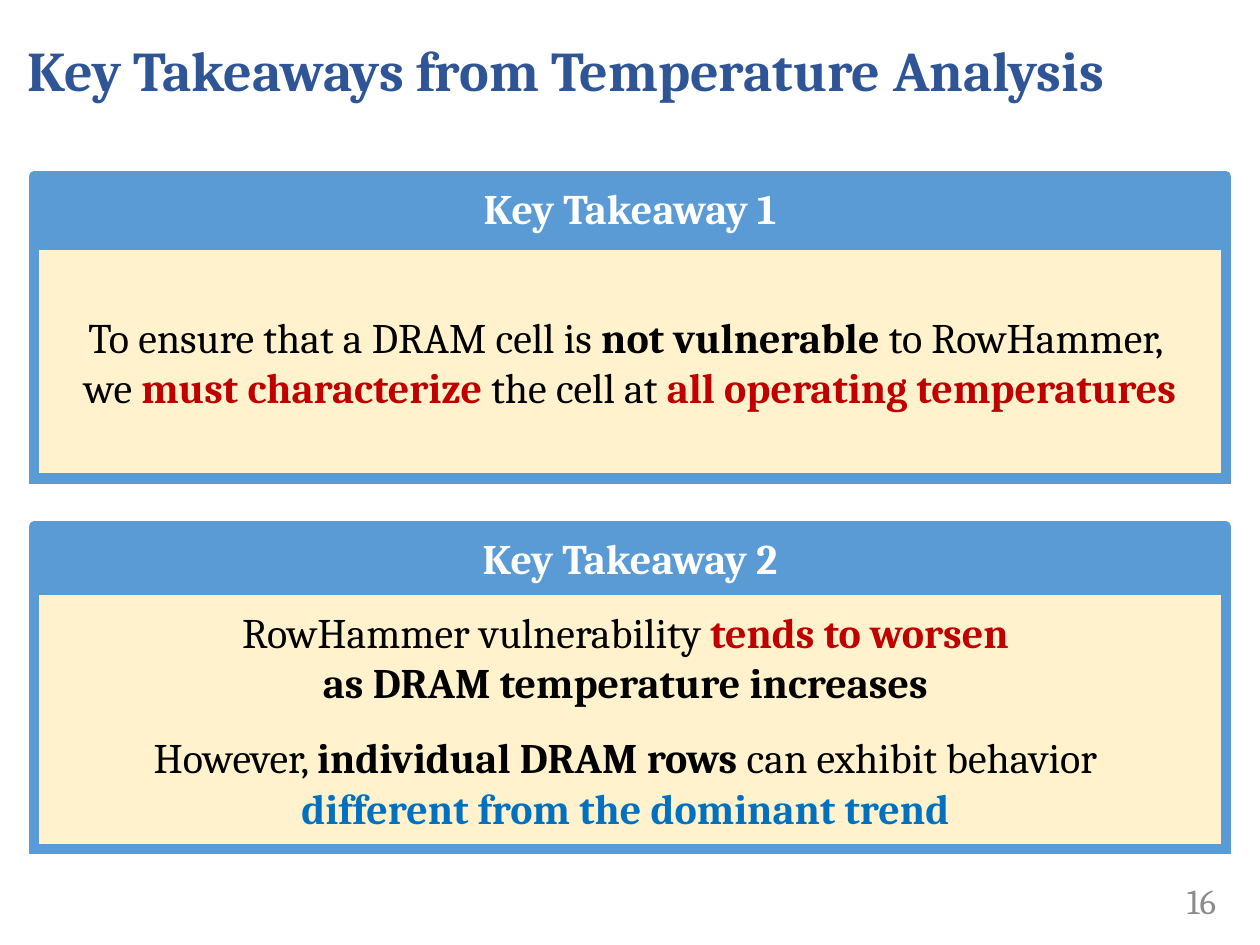
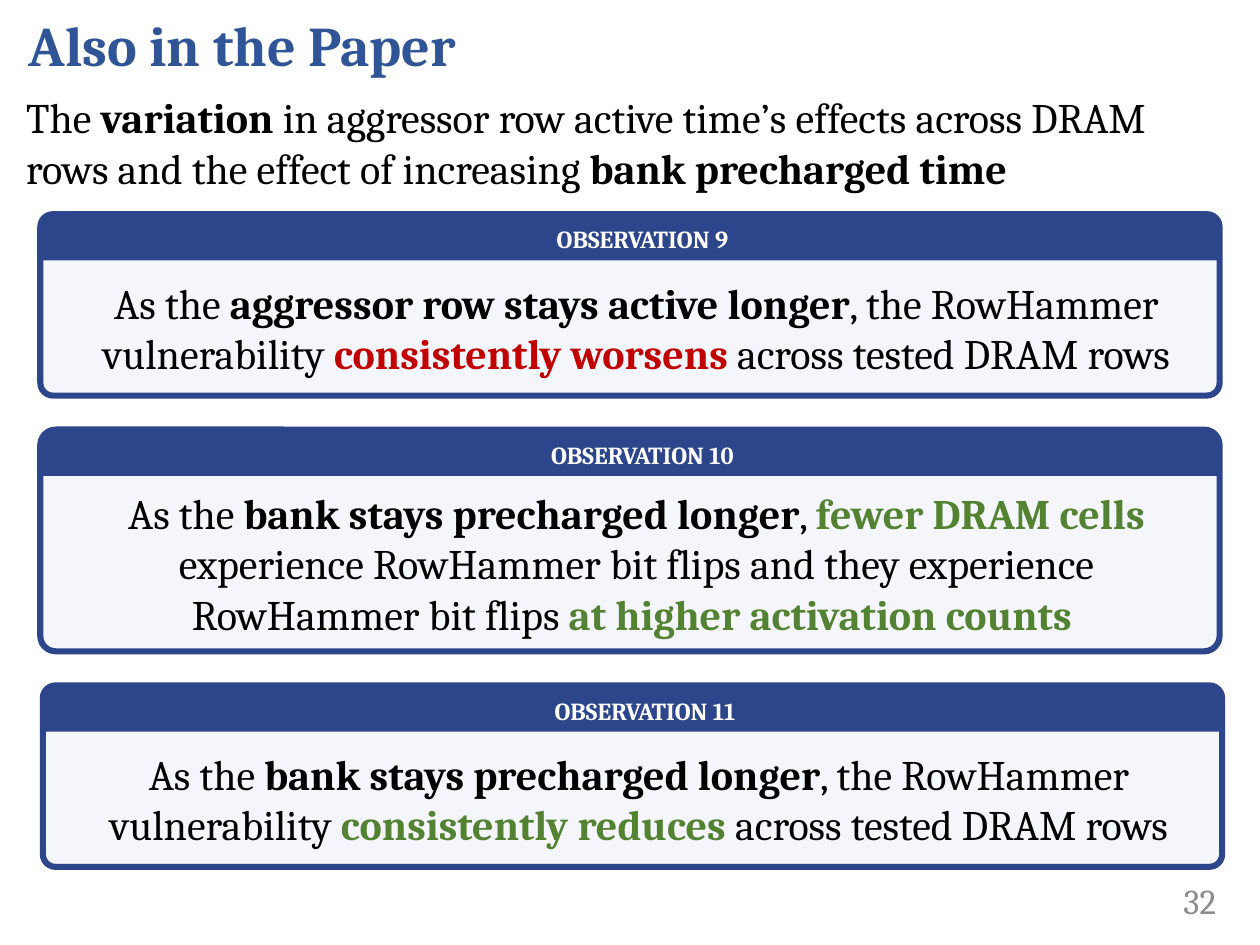
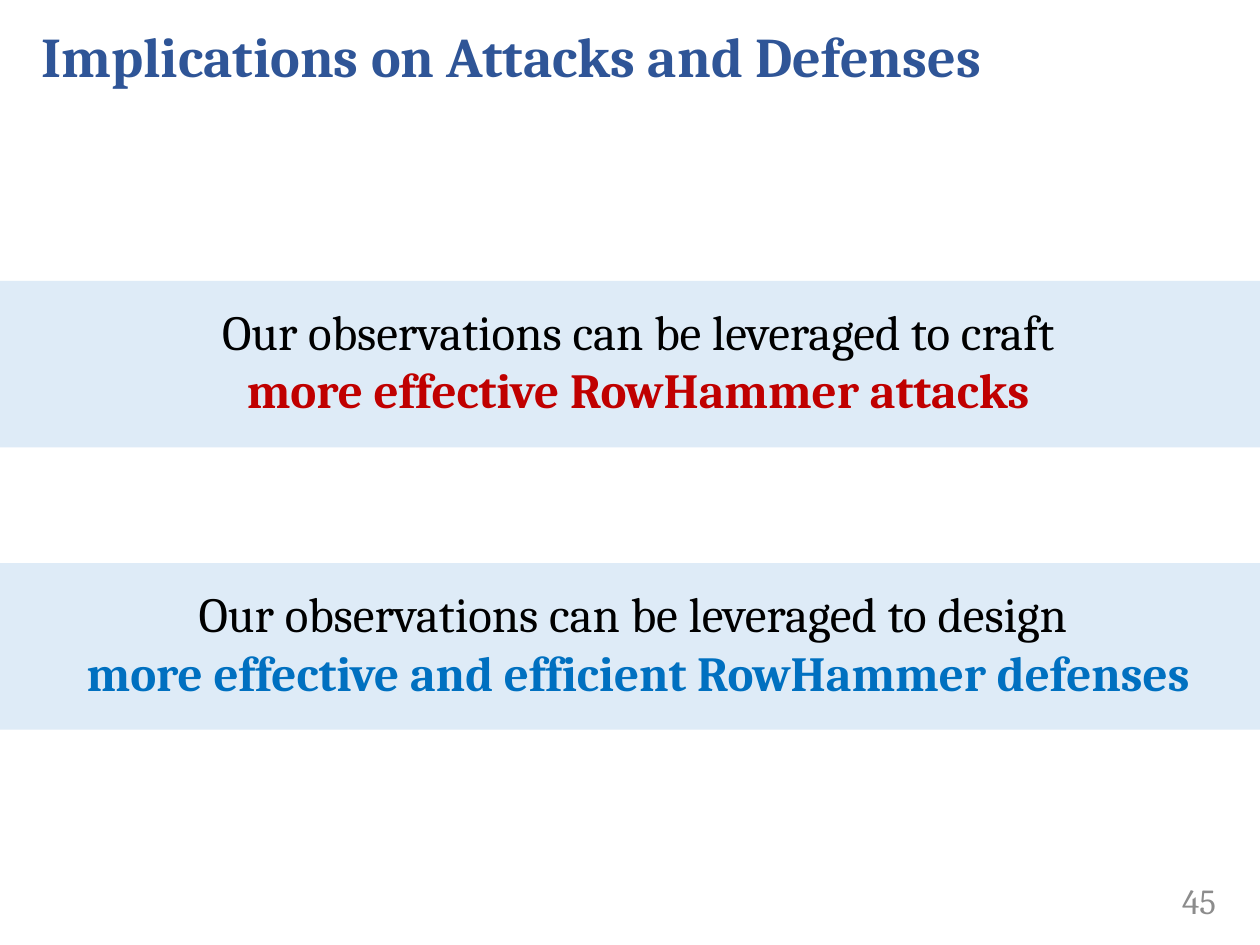
import dataclasses

import lxml.etree
import pptx
import pptx.dml.color
import pptx.enum.shapes
import pptx.enum.text
import pptx.oxml.ns
import pptx.util

Pt = pptx.util.Pt
Shapes = pptx.enum.shapes.MSO_SHAPE
Align = pptx.enum.text.PP_ALIGN
Anchor = pptx.enum.text.MSO_ANCHOR


@dataclasses.dataclass(frozen=True)
class Theme:
    font: str = "Cambria"
    black: str = "000000"
    white: str = "FFFFFF"
    red: str = "C00000"
    blue: str = "0070C0"
    green: str = "538233"
    title: str = "2F5597"
    page_number: str = "8C8C8C"
    takeaway: str = "5B9BD5"
    takeaway_body: str = "FFF2CC"
    observation: str = "2D458A"
    observation_body: str = "F5F6FB"
    band: str = "DEEBF7"
    title_size: int = 32
    statement_size: int = 28
    body_size: int = 24
    number_size: int = 20
    label_size: int = 14


@dataclasses.dataclass(frozen=True)
class Box:
    left: float
    top: float
    width: float
    height: float

    def lengths(self):
        return [Pt(length) for length in dataclasses.astuple(self)]


THEME = Theme()
SLIDE_WIDTH = 720
SLIDE_HEIGHT = 540
NUMBER_BOX = Box(624.24, 500.4, 77.76, 28.8)
DEFAULT_INSETS = (7.2, 3.6, 7.2, 3.6)


def color(value):
    return pptx.dml.color.RGBColor.from_string(value)


def bold(text, value=THEME.black):
    return text, value, True


def write_text(shape, paragraphs, size=THEME.body_size, value=THEME.black, strong=False,
               align=Align.CENTER, anchor=Anchor.MIDDLE, insets=DEFAULT_INSETS,
               space_between=0, space_after=0):
    frame = shape.text_frame
    frame.word_wrap = True
    frame.vertical_anchor = anchor
    frame.margin_left, frame.margin_top, frame.margin_right, frame.margin_bottom = map(Pt, insets)
    for index, pieces in enumerate(paragraphs):
        paragraph = frame.add_paragraph() if index else frame.paragraphs[0]
        paragraph.alignment = align
        paragraph.space_before = Pt(space_between if index else 0)
        paragraph.space_after = Pt(space_after)
        for piece in pieces:
            text, piece_color, piece_bold = (piece, value, strong) if isinstance(piece, str) else piece
            for line_index, line in enumerate(text.split("\n")):
                if line_index:
                    paragraph.add_line_break()
                if line:
                    run = paragraph.add_run()
                    run.text = line
                    run.font.name = THEME.font
                    run.font.size = Pt(size)
                    run.font.bold = piece_bold
                    run.font.color.rgb = color(piece_color)


def add_text(slide, box, paragraphs, **text_format):
    write_text(slide.shapes.add_textbox(*box.lengths()), paragraphs, **text_format)


def add_panel(slide, box, fill, kind=Shapes.RECTANGLE, line=None, line_width=0, adjustments=()):
    shape = slide.shapes.add_shape(kind, *box.lengths())
    shape.shadow.inherit = False
    shape.fill.solid()
    shape.fill.fore_color.rgb = color(fill)
    if line:
        shape.line.color.rgb = color(line)
        shape.line.width = Pt(line_width)
    else:
        shape.line.fill.background()
    for index, adjustment in enumerate(adjustments):
        shape.adjustments[index] = adjustment
    return shape


def add_page(presentation, title, title_box, number):
    slide = presentation.slides.add_slide(presentation.slide_layouts[6])
    add_text(slide, NUMBER_BOX, [[number]], size=THEME.number_size,
             value=THEME.page_number, align=Align.RIGHT)
    add_text(slide, title_box, [[title]], size=THEME.title_size, value=THEME.title,
             strong=True, align=Align.LEFT, space_after=6)
    return slide


def add_takeaway(slide, box, heading, body_height, paragraphs):
    header_height = 36
    border = {"line": THEME.takeaway, "line_width": 6}
    body_box = Box(box.left, box.top + box.height - body_height, box.width, body_height)
    body = add_panel(slide, body_box, THEME.takeaway_body,
                     kind=Shapes.ROUNDED_RECTANGLE, adjustments=[0], **border)
    outline = body.line.fill._xPr
    lxml.etree.SubElement(outline, pptx.oxml.ns.qn("a:miter"), lim="800000")
    write_text(body, paragraphs, space_between=14)
    header = add_panel(slide, Box(box.left, box.top, box.width, header_height),
                       THEME.takeaway, **border)
    write_text(header, [[heading]], value=THEME.white, strong=True, anchor=Anchor.TOP)


def add_observation(slide, box, heading, pieces):
    header_height = 25.92
    add_panel(slide, box, THEME.observation_body, kind=Shapes.ROUNDED_RECTANGLE,
              line=THEME.observation, line_width=3.5, adjustments=[0.07])
    header = add_panel(slide, Box(box.left, box.top, box.width, header_height),
                       THEME.observation, kind=Shapes.ROUND_2_SAME_RECTANGLE,
                       line=THEME.observation, line_width=1, adjustments=[0.34, 0])
    write_text(header, [[heading]], size=THEME.label_size, value=THEME.white, strong=True,
               insets=(14.4, 0, 0, 0))
    body_box = Box(box.left, box.top + header_height, box.width, box.height - header_height)
    add_text(slide, body_box, [pieces], insets=(14.4, 3.6, 7.2, 3.6))


def add_statement(slide, box, paragraphs):
    add_panel(slide, box, THEME.band)
    inset_left, inset_top = 9.36, 7.92
    inner = add_panel(slide, Box(box.left + inset_left, box.top + inset_top,
                                 box.width - inset_left, 74.88), THEME.band)
    write_text(inner, paragraphs, size=THEME.statement_size, anchor=Anchor.TOP)


def build_takeaways(presentation):
    slide = add_page(presentation, "Key Takeaways from Temperature Analysis",
                     Box(8.64, 0, 711.36, 78.48), "16")
    left, width = 19.44, 681.12
    add_takeaway(slide, Box(left, 100.8, width, 172.8), "Key Takeaway 1", 133.92, [
        ["To ensure that a DRAM cell is ", bold("not vulnerable "), "to RowHammer, \nwe ",
         bold("must characterize ", THEME.red), "the cell at ",
         bold("all operating temperatures", THEME.red)],
    ])
    add_takeaway(slide, Box(left, 300.96, width, 184.32), "Key Takeaway 2", 148.32, [
        ["RowHammer vulnerability ", bold("tends to worsen \n", THEME.red),
         bold("as DRAM temperature increases ")],
        ["However, ", bold("individual DRAM rows "), "can exhibit behavior \n",
         bold("different from the dominant trend\u00a0", THEME.blue)],
    ])


def build_observations(presentation):
    slide = add_page(presentation, "Also in the Paper", Box(9.36, 0, 670.32, 50.4), "32")
    add_text(slide, Box(7.92, 48.96, 689.04, 65.52), [
        ["The ", bold("variation "), "in aggressor row active time’s effects across DRAM rows "
         "and the effect of increasing ", bold("bank precharged time")],
    ], align=Align.LEFT, anchor=Anchor.TOP)
    observations = [
        (23.04, 103.68, "OBSERVATION 9",
         ["As the ", bold("aggressor row stays active longer"),
          ", the RowHammer vulnerability ", bold("consistently worsens ", THEME.red),
          "across tested DRAM rows"]),
        (23.04, 126.72, "OBSERVATION 10",
         ["As the ", bold("bank stays precharged longer"), ", ",
          bold("fewer DRAM cells ", THEME.green),
          "experience RowHammer bit flips and they experience RowHammer bit flips ",
          bold("at higher activation counts ", THEME.green)]),
        (24.48, 103.68, "OBSERVATION 11",
         ["As the ", bold("bank stays precharged longer"),
          ", the RowHammer vulnerability ", bold("consistently reduces ", THEME.green),
          "across tested DRAM rows"]),
    ]
    top, gap = 122.4, 19.44
    for left, height, heading, pieces in observations:
        add_observation(slide, Box(left, top, 673.92, height), heading, pieces)
        top += height + gap


def build_implications(presentation):
    slide = add_page(presentation, "Implications on Attacks and Defenses",
                     Box(16.56, 6.48, 670.32, 50.4), "45")
    statements = [
        [["Our observations can be leveraged to craft"],
         [bold("more effective RowHammer attacks", THEME.red)]],
        [["Our observations can be leveraged to design \n",
          bold("more effective and efficient RowHammer defenses", THEME.blue)]],
    ]
    for index, paragraphs in enumerate(statements):
        add_statement(slide, Box(0, 160.56 + index * 161.28, SLIDE_WIDTH, 95.04), paragraphs)


def main():
    presentation = pptx.Presentation()
    presentation.slide_width = Pt(SLIDE_WIDTH)
    presentation.slide_height = Pt(SLIDE_HEIGHT)
    build_takeaways(presentation)
    build_observations(presentation)
    build_implications(presentation)
    presentation.save("out.pptx")


if __name__ == "__main__":
    main()
